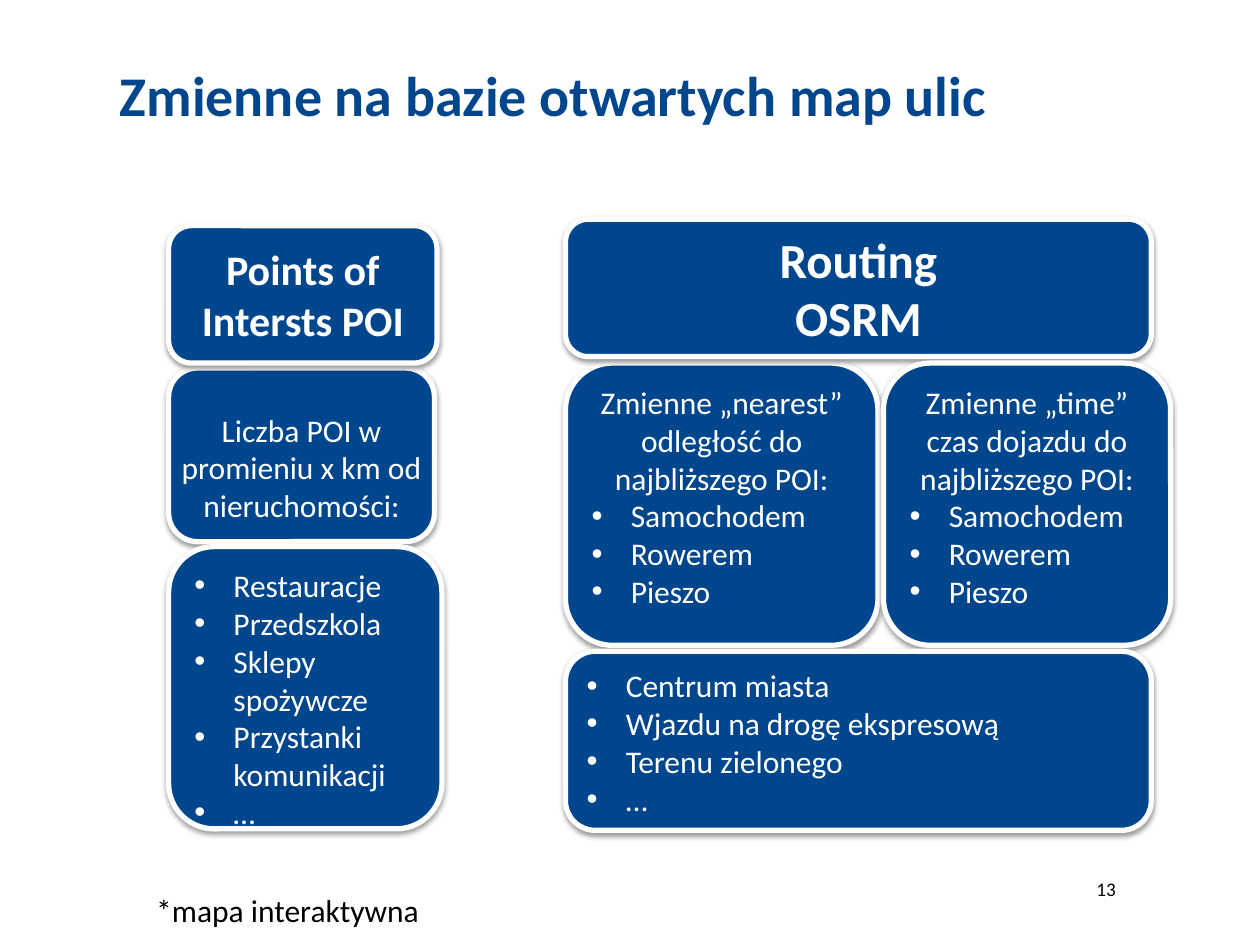
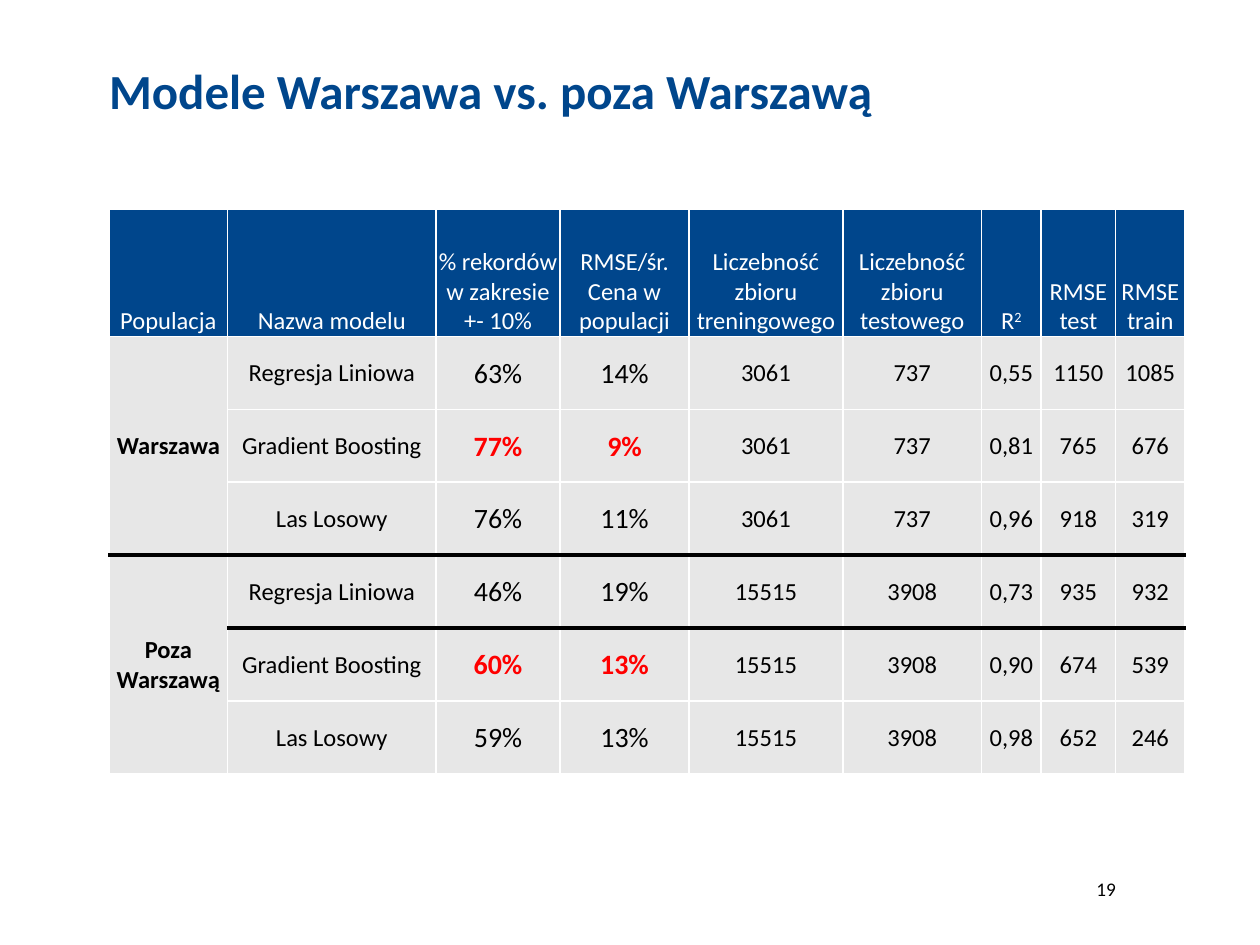
import dataclasses
import typing

import lxml.etree
import pptx
import pptx.dml.color
import pptx.enum.shapes
import pptx.enum.text
import pptx.oxml.ns
import pptx.util

Cm = pptx.util.Cm
Pt = pptx.util.Pt
RGBColor = pptx.dml.color.RGBColor
Align = pptx.enum.text.PP_ALIGN
Anchor = pptx.enum.text.MSO_ANCHOR
qn = pptx.oxml.ns.qn

BLUE = RGBColor(0x00, 0x46, 0x8C)
WHITE = RGBColor(0xFF, 0xFF, 0xFF)
BLACK = RGBColor(0x00, 0x00, 0x00)
RED = RGBColor(0xFF, 0x00, 0x00)
GREY = RGBColor(0xE7, 0xE7, 0xE7)
FONT = "Calibri"
TITLE_ONLY = 5
BULLET_INDENT = Cm(0.79)
NO_MARGINS = dict.fromkeys(
    ("margin_left", "margin_top", "margin_right", "margin_bottom"), 0
)


@dataclasses.dataclass(frozen=True)
class Area:
    left: float
    top: float
    width: float
    height: float

    def lengths(self) -> tuple:
        return tuple(Cm(value) for value in dataclasses.astuple(self))


@dataclasses.dataclass(frozen=True)
class Box:
    area: Area
    centred: tuple = ()
    bullets: tuple = ()
    size: int = 18
    bold: bool = False
    frame_format: dict = dataclasses.field(default_factory=dict)


@dataclasses.dataclass(frozen=True)
class Model:
    name: str
    figures: tuple
    best: bool = False


NUMBER_AREA = Area(21.2, 17.42, 2.2, 1)
FOOTNOTE_AREA = Area(2.9, 17.83, 6.12, 1.02)

MIDDLE = {"vertical_anchor": Anchor.MIDDLE}
TRAVEL_MODES = ("Samochodem", "Rowerem", "Pieszo")
POI_LEFT, ROUTING_LEFT, ROUTING_WIDTH = 3.4, 11.4, 11.81
VARIABLES_TOP, VARIABLES_HEIGHT = 7.32, 5.69
BOXES = (
    Box(Area(POI_LEFT, 7.42, 5.36, 3.5),
        centred=("Liczba POI w promieniu x km od nieruchomości:",),
        frame_format=NO_MARGINS | {"margin_top": Cm(0.69)}),
    Box(Area(POI_LEFT, 4.55, 5.41, 2.77), centred=("Points of Intersts POI",),
        size=24, bold=True, frame_format=MIDDLE),
    Box(Area(ROUTING_LEFT, VARIABLES_TOP, 6.3, VARIABLES_HEIGHT),
        centred=("Zmienne „nearest” odległość do najbliższego POI:",),
        bullets=TRAVEL_MODES),
    Box(Area(ROUTING_LEFT, 4.42, ROUTING_WIDTH, 2.77),
        centred=("Routing", "OSRM"), size=28, bold=True, frame_format=MIDDLE),
    Box(Area(17.81, VARIABLES_TOP, 5.79, VARIABLES_HEIGHT),
        centred=("Zmienne „time” czas dojazdu do najbliższego POI:",),
        bullets=TRAVEL_MODES),
    Box(Area(POI_LEFT, 11.02, 5.51, VARIABLES_HEIGHT),
        bullets=("Restauracje", "Przedszkola", "Sklepy spożywcze",
                 "Przystanki komunikacji", "…")),
    Box(Area(ROUTING_LEFT, 13.13, ROUTING_WIDTH, 3.61),
        bullets=("Centrum miasta", "Wjazdu na drogę ekspresową",
                 "Terenu zielonego", "…")),
)

TABLE_AREA = Area(2.2, 4.22, 21.69, 11.4)
COLUMN_WIDTHS = (2.39, 4.2, 2.5, 2.6, 3.1, 2.8, 1.2, 1.5, 1.4)
HEADER_HEIGHT, MODEL_HEIGHT = 2.56, 1.47
HEADERS = (
    "Populacja", "Nazwa modelu", "% rekordów w zakresie +- 10%",
    "RMSE/śr. Cena w populacji", "Liczebność zbioru treningowego",
    "Liczebność zbioru testowego", "R", "RMSE test", "RMSE train",
)
R_SQUARED_COLUMN = 6
KEY_COLUMNS = (2, 3)
POPULATIONS = {
    "Warszawa": (
        Model("Regresja Liniowa",
              ("63%", "14%", "3061", "737", "0,55", "1150", "1085")),
        Model("Gradient Boosting",
              ("77%", "9%", "3061", "737", "0,81", "765", "676"), best=True),
        Model("Las Losowy",
              ("76%", "11%", "3061", "737", "0,96", "918", "319")),
    ),
    "Poza Warszawą": (
        Model("Regresja Liniowa",
              ("46%", "19%", "15515", "3908", "0,73", "935", "932")),
        Model("Gradient Boosting",
              ("60%", "13%", "15515", "3908", "0,90", "674", "539"), best=True),
        Model("Las Losowy",
              ("59%", "13%", "15515", "3908", "0,98", "652", "246")),
    ),
}
# Row above each heavy rule, with the first column that the rule crosses.
HEAVY_RULES = {3: 0, 4: 1}


def apply_format(target: typing.Any, values: dict) -> None:
    for name, value in values.items():
        setattr(target, name, value)


def add_run(paragraph, text: str, size: float, color: RGBColor, bold: bool = False):
    run = paragraph.add_run()
    run.text = text
    apply_format(run.font, {"name": FONT, "size": Pt(size), "bold": bold})
    run.font.color.rgb = color
    return run


def add_child(parent, tag: str, **attributes: typing.Any):
    texts = {name: str(value) for name, value in attributes.items()}
    return lxml.etree.SubElement(parent, qn(tag), texts)


def add_titled_slide(presentation, title: str, area: Area, size: int,
                     alignment: Align, number: int):
    slide = presentation.slides.add_slide(presentation.slide_layouts[TITLE_ONLY])
    placeholder = slide.shapes.title
    position = dict(zip(("left", "top", "width", "height"), area.lengths()))
    apply_format(placeholder, position)
    frame = placeholder.text_frame
    apply_format(frame, NO_MARGINS | {
        "word_wrap": True,
        "vertical_anchor": Anchor.TOP,
        "auto_size": pptx.enum.text.MSO_AUTO_SIZE.NONE,
    })
    frame.paragraphs[0].alignment = alignment
    add_run(frame.paragraphs[0], title, size, BLUE, bold=True)
    add_label(slide, str(number), NUMBER_AREA, 11, Align.CENTER,
              NO_MARGINS | MIDDLE | {"word_wrap": True})
    return slide


def add_label(slide, text: str, area: Area, size: int, alignment: Align,
              frame_format: dict) -> None:
    frame = slide.shapes.add_textbox(*area.lengths()).text_frame
    apply_format(frame, frame_format)
    frame.paragraphs[0].alignment = alignment
    add_run(frame.paragraphs[0], text, size, BLACK)


def add_shadow(shape) -> None:
    shape.shadow.inherit = False
    effects = shape.element.spPr.find(qn("a:effectLst"))
    shadow = add_child(effects, "a:outerShdw", blurRad=Pt(3.1), dist=Pt(1.6),
                       dir=90 * 60000, rotWithShape=0)
    color = add_child(shadow, "a:srgbClr", val=BLACK)
    add_child(color, "a:alpha", val=38000)


def set_bullet(paragraph) -> None:
    properties = paragraph._p.get_or_add_pPr()
    properties.set("marL", str(BULLET_INDENT))
    properties.set("indent", str(-BULLET_INDENT))
    add_child(properties, "a:buFont", typeface="Arial")
    add_child(properties, "a:buChar", char="•")


def add_box(slide, box: Box) -> None:
    shape = slide.shapes.add_shape(
        pptx.enum.shapes.MSO_SHAPE.ROUNDED_RECTANGLE, *box.area.lengths()
    )
    shape.fill.solid()
    shape.fill.fore_color.rgb = BLUE
    shape.line.color.rgb = WHITE
    shape.line.width = Pt(3)
    add_shadow(shape)
    frame = shape.text_frame
    apply_format(frame, {"word_wrap": True, "vertical_anchor": Anchor.TOP})
    apply_format(frame, box.frame_format)
    for index, text in enumerate(box.centred + box.bullets):
        paragraph = frame.add_paragraph() if index else frame.paragraphs[0]
        is_bullet = index >= len(box.centred)
        paragraph.alignment = Align.LEFT if is_bullet else Align.CENTER
        if is_bullet:
            set_bullet(paragraph)
        add_run(paragraph, text, box.size, WHITE, box.bold)


def has_heavy_rule(row: int, column: int) -> bool:
    """Tell whether the lower edge of this cell is heavy."""
    return row in HEAVY_RULES and column >= HEAVY_RULES[row]


def set_borders(cell, row: int, column: int) -> None:
    heavy = {"a:lnT": has_heavy_rule(row - 1, column),
             "a:lnB": has_heavy_rule(row, column)}
    properties = cell._tc.get_or_add_tcPr()
    for tag in ("a:lnL", "a:lnR", "a:lnT", "a:lnB"):
        is_heavy = heavy.get(tag, False)
        line = add_child(properties, tag, w=Pt(2.25 if is_heavy else 1))
        fill = add_child(line, "a:solidFill")
        add_child(fill, "a:srgbClr", val=BLACK if is_heavy else WHITE)


def fill_cell(cell, text: str, fill: RGBColor, anchor: Anchor, size: int = 14,
              color: RGBColor = BLACK, bold: bool = False) -> None:
    apply_format(cell, {
        "margin_left": Cm(0.03), "margin_right": Cm(0.03),
        "margin_top": Cm(0.03), "margin_bottom": 0, "vertical_anchor": anchor,
    })
    cell.fill.solid()
    cell.fill.fore_color.rgb = fill
    paragraph = cell.text_frame.paragraphs[0]
    paragraph.alignment = Align.CENTER
    if text:
        add_run(paragraph, text, size, color, bold)


def fill_model_row(table, row: int, model: Model) -> None:
    for column, text in enumerate((model.name,) + model.figures, start=1):
        is_key = column in KEY_COLUMNS
        is_best = is_key and model.best
        fill_cell(table.cell(row, column), text, GREY, Anchor.MIDDLE,
                  16 if is_key else 14, RED if is_best else BLACK, is_best)


def add_model_table(slide) -> None:
    row_count = 1 + sum(len(models) for models in POPULATIONS.values())
    table = slide.shapes.add_table(
        row_count, len(HEADERS), *TABLE_AREA.lengths()
    ).table
    apply_format(table, {"first_row": False, "horz_banding": False})
    for column, width in zip(table.columns, COLUMN_WIDTHS):
        column.width = Cm(width)
    for row_index, row in enumerate(table.rows):
        row.height = Cm(MODEL_HEIGHT if row_index else HEADER_HEIGHT)
        for column_index, cell in enumerate(row.cells):
            set_borders(cell, row_index, column_index)
    for column_index, header in enumerate(HEADERS):
        fill_cell(table.cell(0, column_index), header, BLUE, Anchor.BOTTOM,
                  color=WHITE)
    header_paragraph = table.cell(0, R_SQUARED_COLUMN).text_frame.paragraphs[0]
    exponent = add_run(header_paragraph, "2", 14, WHITE)
    exponent.font._element.set("baseline", "30000")

    first_row = 1
    for population, models in POPULATIONS.items():
        for offset, model in enumerate(models):
            fill_cell(table.cell(first_row + offset, 0),
                      "" if offset else population, GREY, Anchor.MIDDLE, bold=True)
            fill_model_row(table, first_row + offset, model)
        last_row = first_row + len(models) - 1
        table.cell(first_row, 0).merge(table.cell(last_row, 0))
        first_row = last_row + 1


def main() -> None:
    presentation = pptx.Presentation()
    apply_format(presentation, {"slide_width": Cm(25.4), "slide_height": Cm(19.05)})

    variables_slide = add_titled_slide(
        presentation, "Zmienne na bazie otwartych map ulic",
        Area(2.16, 1.22, 18, 2.5), 32, Align.CENTER, 13)
    for box in BOXES:
        add_box(variables_slide, box)
    add_label(variables_slide, "*mapa interaktywna", FOOTNOTE_AREA, 18,
              Align.LEFT, {"word_wrap": False})

    models_slide = add_titled_slide(
        presentation, "Modele Warszawa vs. poza Warszawą",
        Area(2.2, 1.22, 17, 2.5), 28, Align.LEFT, 19)
    add_model_table(models_slide)

    presentation.save("out.pptx")


if __name__ == "__main__":
    main()
